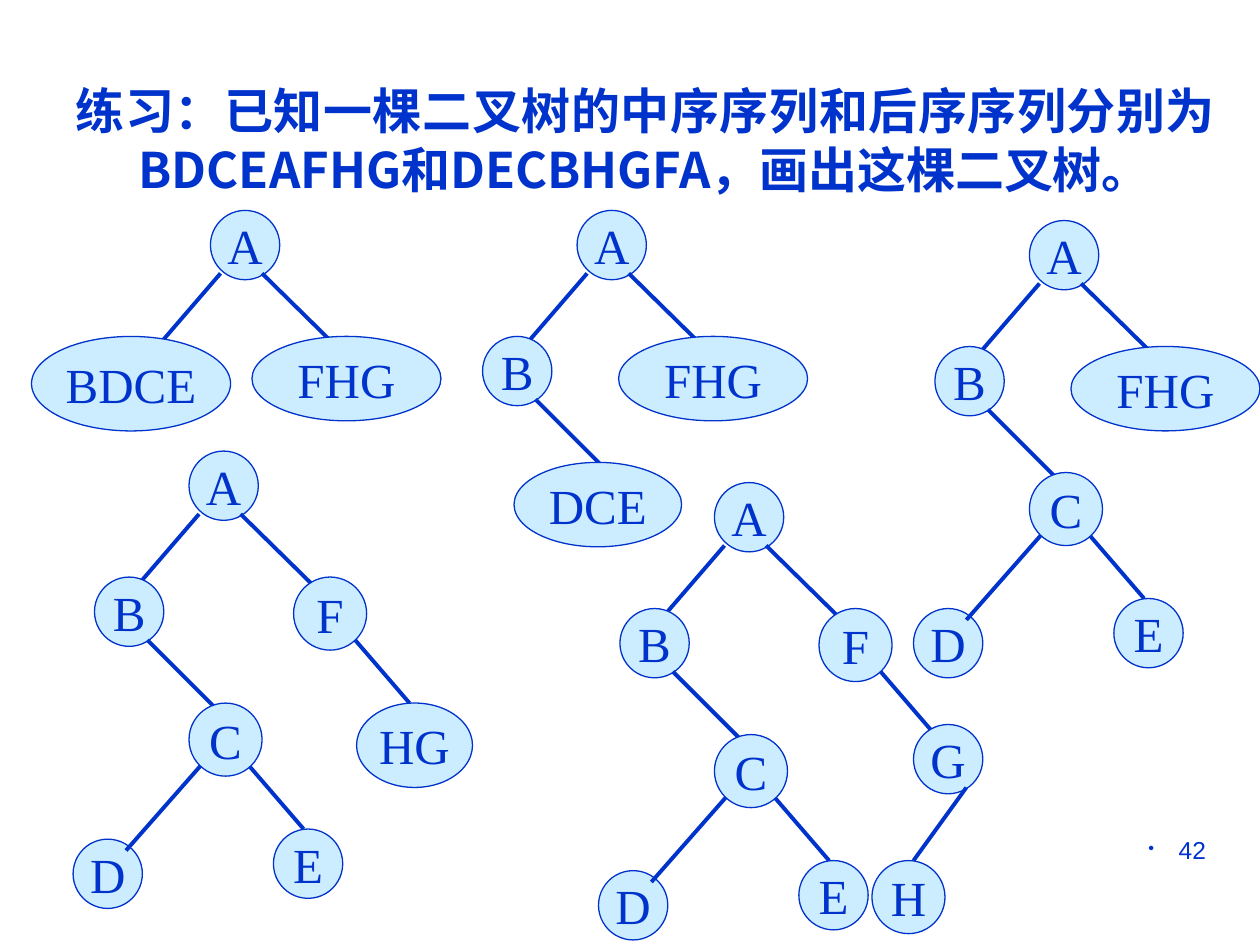
from typing import NamedTuple

from lxml.etree import SubElement
from pptx import Presentation
from pptx.dml.color import RGBColor
from pptx.enum.shapes import MSO_CONNECTOR as Connector, MSO_SHAPE as Shape
from pptx.enum.text import MSO_ANCHOR as Anchor, MSO_AUTO_SIZE as AutoSize, PP_ALIGN as Align
from pptx.oxml.ns import qn
from pptx.util import Inches, Pt

COLORS = {"ink": "0033CC", "node": "CCECFF"}
SMALL, LARGE = (0.55, 0.55), (0.58, 0.58)


class Edge(NamedTuple):
    start: tuple[float, float]
    end: tuple[float, float]


class Node(NamedTuple):
    label: str
    offset: tuple[float, float]
    size: tuple[float, float] = SMALL
    edge: Edge | None = None
    edge_on_top: bool = False


class Tree(NamedTuple):
    root: tuple[float, float]
    labels: str


TO_LEFT = Edge((0.08, 0.5), (-0.42, 1.08))
TO_RIGHT = Edge((0.41, 0.5), (1, 1.08))
UNDER_B = Edge((-0.33, 1.5), (0.25, 2.08))
UNDER_F = Edge((1.25, 1.42), (1.75, 2))

NODES = {node.label: node for node in (
    Node("A", (0, 0)),
    Node("B", (-0.75, 1), SMALL, TO_LEFT),
    Node("BDCE", (-1.42, 1), (1.58, 0.75), TO_LEFT),
    Node("FHG", (0.33, 1), (1.5, 0.67), TO_RIGHT),
    Node("F", (0.83, 1), LARGE, TO_RIGHT),
    Node("DCE", (-0.5, 2), (1.33, 0.67), UNDER_B),
    Node("C", (0, 2), LARGE, UNDER_B),
    Node("HG", (1.33, 2), (0.92, 0.67), UNDER_F),
    Node("G", (1.58, 1.92), SMALL, UNDER_F),
    Node("D", (-0.92, 3.08), SMALL, Edge((0.16, 2.42), (-0.5, 3.17)), True),
    Node("E", (0.67, 3), SMALL, Edge((0.41, 2.42), (0.91, 3))),
    Node("H", (1.25, 3), LARGE, Edge((2, 2.42), (1.58, 3))),
)}

TREES = (
    Tree((1.67, 1.67), "A FHG BDCE"),
    Tree((4.58, 1.67), "A FHG B DCE"),
    Tree((8.17, 1.75), "A FHG B D E C"),
    Tree((1.5, 3.58), "A B D E C HG F"),
    Tree((5.67, 3.83), "A B D E C G F H"),
)


def color(name: str) -> RGBColor:
    """Return a named colour."""
    return RGBColor.from_string(COLORS[name])


def style_text(paragraph, size: float, font_name: str, align: Align, bold: bool = False) -> None:
    """Format every run of a paragraph."""
    paragraph.alignment = align
    for run in paragraph.runs:
        run.font.size, run.font.name, run.font.bold = Pt(size), font_name, bold
        run.font.color.rgb = color("ink")
        SubElement(run.font._element, qn("a:ea")).set("typeface", font_name)


def hang(paragraph, indent: float) -> None:
    """Give a paragraph a hanging indent."""
    properties = paragraph._p.get_or_add_pPr()
    properties.set("marL", str(Inches(indent)))
    properties.set("indent", str(-Inches(indent)))


def place(shape, left: float, top: float, width: float, height: float) -> None:
    """Position and size a shape."""
    shape.left, shape.top = Inches(left), Inches(top)
    shape.width, shape.height = Inches(width), Inches(height)


def draw_edge(shapes, root: tuple[float, float], edge: Edge) -> None:
    """Draw a branch relative to the root of its tree."""
    points = [Inches(base + step) for point in edge for base, step in zip(root, point)]
    branch = shapes.add_connector(Connector.STRAIGHT, *points)
    branch.line.color.rgb, branch.line.width = color("ink"), Pt(2.25)
    SubElement(branch._element.spPr, qn("a:effectLst"))


def draw_oval(shapes, root: tuple[float, float], node: Node) -> None:
    """Draw a labelled node relative to the root of its tree."""
    left, top = (base + step for base, step in zip(root, node.offset))
    oval = shapes.add_shape(Shape.OVAL, *map(Inches, (left, top, *node.size)))
    oval.shadow.inherit = False
    oval.fill.solid()
    oval.fill.fore_color.rgb = color("node")
    oval.line.color.rgb, oval.line.width = color("ink"), Pt(0.75)
    frame = oval.text_frame
    frame.text = node.label
    frame.word_wrap, frame.vertical_anchor = False, Anchor.MIDDLE
    style_text(frame.paragraphs[0], 28, "Times New Roman", Align.CENTER)


def draw_tree(slide, tree: Tree) -> None:
    """Draw one step of the reconstruction as a group."""
    shapes = slide.shapes.add_group_shape().shapes
    for node in map(NODES.get, tree.labels.split()):
        if node.edge and not node.edge_on_top:
            draw_edge(shapes, tree.root, node.edge)
        draw_oval(shapes, tree.root, node)
        if node.edge and node.edge_on_top:
            draw_edge(shapes, tree.root, node.edge)


def draw_page_number(slide) -> None:
    """Add the bulleted page number."""
    page = slide.shapes.add_textbox(*map(Inches, (7.17, 6.58, 2.5, 0.52)))
    page.text_frame.word_wrap = True
    number = page.text_frame.paragraphs[0]
    number.text = "42"
    style_text(number, 14, "Arial", Align.RIGHT)
    hang(number, 0.24)
    properties = number._p.get_or_add_pPr()
    bullet_color = SubElement(properties, qn("a:buClr"))
    SubElement(bullet_color, qn("a:srgbClr")).set("val", COLORS["ink"])
    SubElement(properties, qn("a:buSzPct")).set("val", "70000")
    SubElement(properties, qn("a:buChar")).set("char", "•")


def draw_title(slide) -> None:
    """Fill in the exercise statement."""
    title = slide.shapes.title
    place(title, 0.5, 0.58, 9.25, 1.04)
    frame = title.text_frame
    frame.text = "练习：已知一棵二叉树的中序序列和后序序列分别为BDCEAFHG和DECBHGFA，画出这棵二叉树。"
    frame.word_wrap, frame.auto_size = True, AutoSize.NONE
    frame.vertical_anchor = Anchor.TOP
    exercise = frame.paragraphs[0]
    exercise.line_spacing = Pt(34)
    style_text(exercise, 28, "Noto Sans CJK SC", Align.JUSTIFY, True)
    hang(exercise, 0.5)


def main() -> None:
    """Build and save the slide."""
    deck = Presentation()
    deck.slide_width, deck.slide_height = Inches(10), Inches(7.5)
    slide = deck.slides.add_slide(deck.slide_layouts[5])
    draw_page_number(slide)
    draw_title(slide)
    for tree in TREES:
        draw_tree(slide, tree)
    deck.save("out.pptx")


if __name__ == "__main__":
    main()
